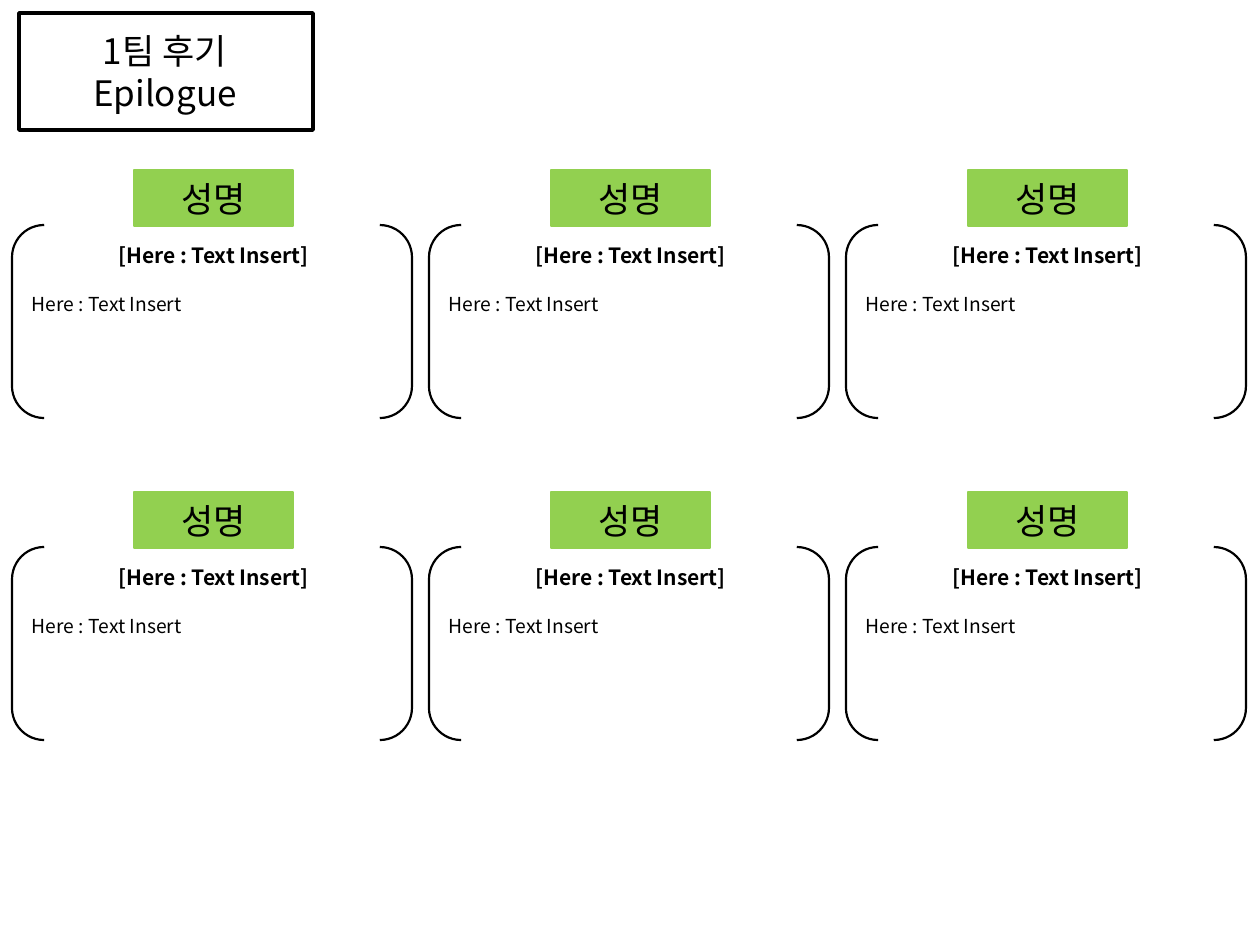
from dataclasses import dataclass
from itertools import product

from pptx import Presentation
from pptx.dml.color import RGBColor
from pptx.enum.shapes import MSO_SHAPE
from pptx.enum.text import MSO_ANCHOR, MSO_AUTO_SIZE, PP_ALIGN
from pptx.oxml.ns import qn
from pptx.util import Pt
from lxml.etree import SubElement

PX = 914400 / 126  # EMU in one px


@dataclass(frozen=True)
class Theme:
    face: str = "Noto Sans CJK KR"
    ink: RGBColor = RGBColor(0, 0, 0)
    green: RGBColor = RGBColor(0x92, 0xD0, 0x50)
    large: int = 20
    head: int = 12
    body: int = 11


THEME = Theme()


def emu(*sizes):
    return [round(size * PX) for size in sizes]


def style(para, size, align=PP_ALIGN.CENTER, bold=False):
    para.alignment = align
    font = para.font
    font.name, font.size, font.bold = THEME.face, Pt(size), bold
    font.color.rgb = THEME.ink
    # Hangul takes its face from the East Asian slot
    for props in para._p.iter(qn("a:defRPr")):
        SubElement(props, qn("a:ea")).set("typeface", THEME.face)


def write(shape, lines, anchor):
    frame = shape.text_frame
    frame.word_wrap = True
    frame.auto_size = MSO_AUTO_SIZE.NONE
    frame.vertical_anchor = anchor
    frame.text = "\n".join(lines)
    return frame.paragraphs


def add_box(slide, kind, box, width, line, fill=None):
    shape = slide.shapes.add_shape(kind, *emu(*box))
    shape.shadow.inherit = False
    shape.line.color.rgb = line
    shape.line.width = Pt(width)
    if fill is None:
        shape.fill.background()
    else:
        shape.fill.solid()
        shape.fill.fore_color.rgb = fill
    return shape


def add_title(slide):
    title = slide.shapes.title
    title.left, title.top, title.width, title.height = emu(26, 23, 278, 97)
    for para in write(title, ["1팀 후기", "Epilogue"], MSO_ANCHOR.TOP):
        style(para, THEME.large)
    add_box(slide, MSO_SHAPE.RECTANGLE, (19, 13, 294, 117), 2, THEME.ink)


def add_card(slide, left, top):
    # Name tag
    tag = add_box(slide, MSO_SHAPE.RECTANGLE, (left + 122, top - 55, 159, 56),
                  0.75, THEME.green, THEME.green)
    style(write(tag, ["성명"], MSO_ANCHOR.MIDDLE)[0], THEME.large)

    # Heading and note
    note = slide.shapes.add_textbox(*emu(left + 3, top + 11, 397, 87))
    head, body = write(note, ["[Here : Text Insert]", " Here : Text Insert"],
                       MSO_ANCHOR.TOP)
    style(head, THEME.head, bold=True)
    style(body, THEME.body, PP_ALIGN.LEFT)
    body.space_before = Pt(14)

    # Brackets around the note
    add_box(slide, MSO_SHAPE.DOUBLE_BRACKET, (left, top, 400, 193),
            1.25, THEME.ink)


def main():
    deck = Presentation()
    deck.slide_width, deck.slide_height = emu(1260, 945)
    slide = deck.slides.add_slide(deck.slide_layouts[5])
    add_title(slide)

    # Two rows of three cards
    for row, col in product(range(2), range(3)):
        add_card(slide, 12 + 417 * col, 225 + 322 * row)
    deck.save("out.pptx")


if __name__ == "__main__":
    main()
